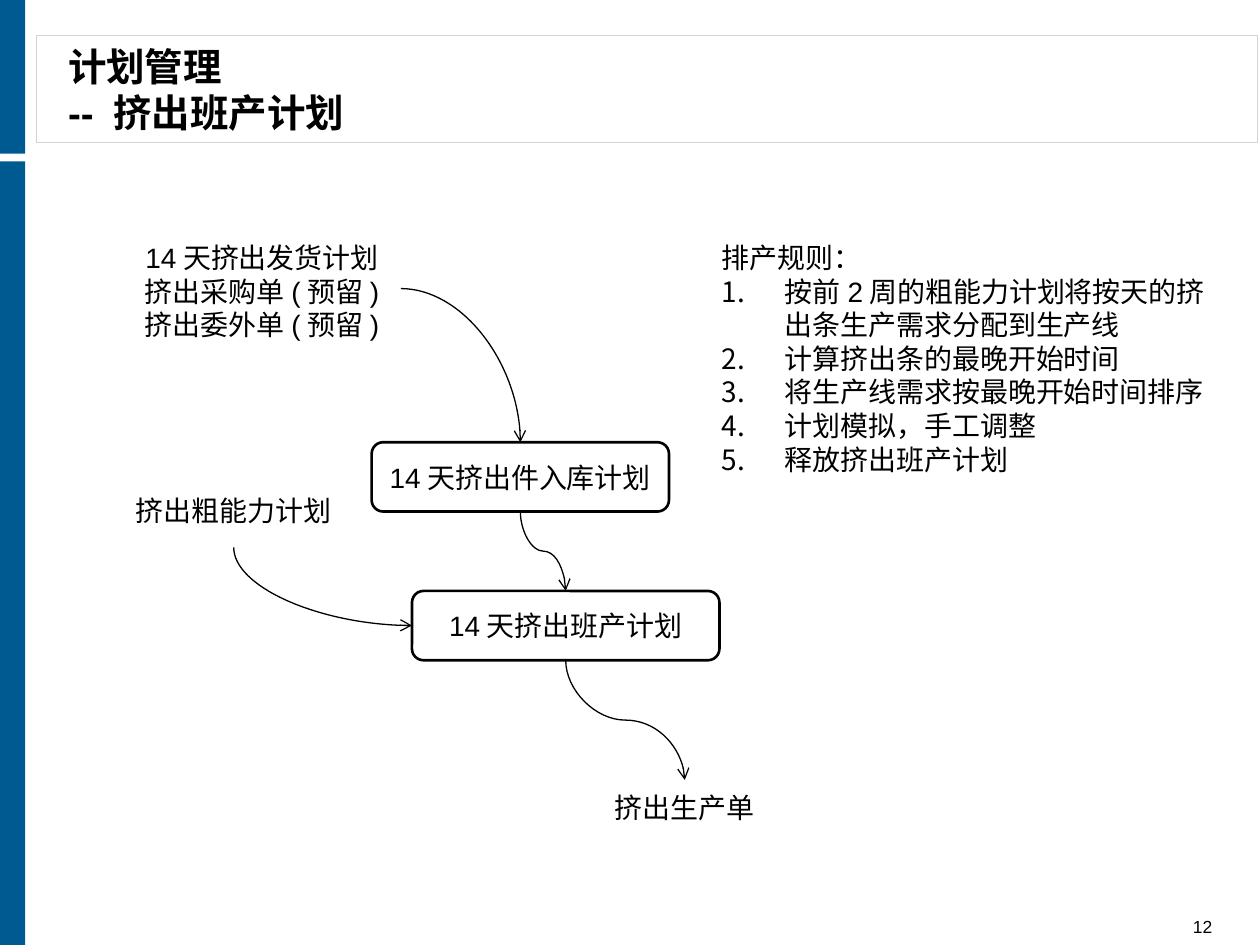
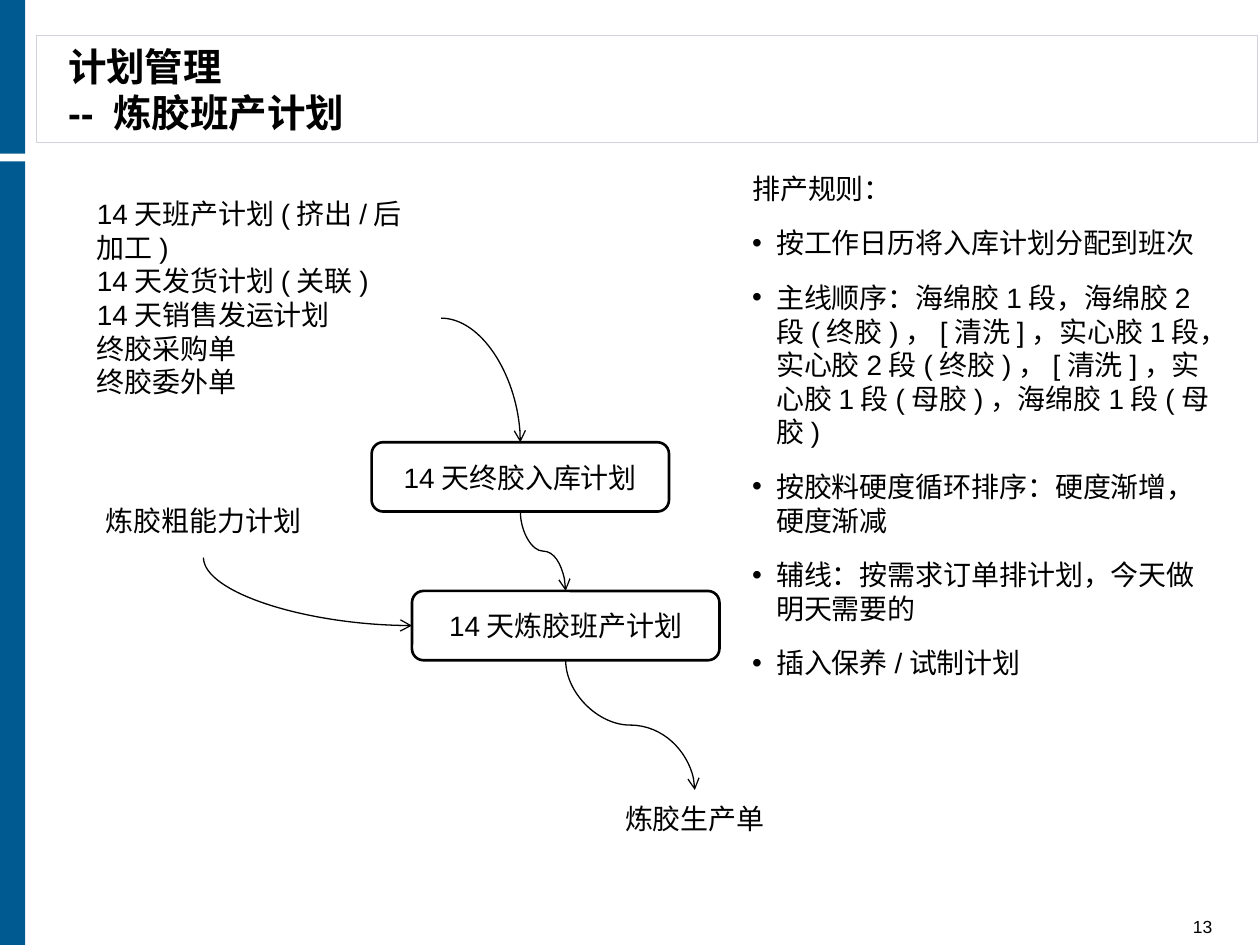
from dataclasses import dataclass

from lxml import etree
from pptx import Presentation
from pptx.dml.color import RGBColor
from pptx.enum.shapes import MSO_CONNECTOR, MSO_SHAPE
from pptx.enum.text import MSO_ANCHOR, MSO_AUTO_SIZE, PP_ALIGN
from pptx.oxml.ns import qn
from pptx.util import Inches, Pt

COLORS = {"band": "005A92", "frame": "D0D3DA", "paper": "FFFFFF", "ink": "000000"}
FONT = "Arial"
BODY_SIZE = 16
RECT = MSO_SHAPE.RECTANGLE
ROUNDED = MSO_SHAPE.ROUNDED_RECTANGLE
DOCUMENT = MSO_SHAPE.FLOWCHART_DOCUMENT
CURVE = MSO_CONNECTOR.CURVE
LEFT, CENTER, RIGHT = PP_ALIGN.LEFT, PP_ALIGN.CENTER, PP_ALIGN.RIGHT
MIDDLE, BOTTOM, TOP = MSO_ANCHOR.MIDDLE, MSO_ANCHOR.BOTTOM, MSO_ANCHOR.TOP
NO_FIT = MSO_AUTO_SIZE.NONE
DOCUMENT_EDGE = 0.934
TITLE_AND_CONTENT = 1


@dataclass(frozen=True)
class Frame:
    left: float
    top: float
    width: float
    height: float

    @property
    def middle_x(self) -> float:
        return self.left + self.width / 2

    @property
    def middle_y(self) -> float:
        return self.top + self.height / 2

    @property
    def right(self) -> float:
        return self.left + self.width

    @property
    def bottom(self) -> float:
        return self.top + self.height

    def lengths(self) -> tuple:
        return tuple(map(Inches, (self.left, self.top, self.width, self.height)))


@dataclass(frozen=True)
class Band:
    frame: Frame
    fill: str
    line: str | None = None


@dataclass(frozen=True)
class Node:
    frame: Frame
    lines: tuple[str, ...]
    align: int = CENTER
    top_inset: float = 0


@dataclass(frozen=True)
class Rules:
    frame: Frame
    items: tuple[str, ...]
    bullet: str
    attribute: tuple[str, str]
    indent: float
    gap: float


@dataclass(frozen=True)
class PlanSlide:
    number: int
    subject: str
    demand: Node
    capacity: Node
    stock_plan: str
    shift_plan: str
    order: Node
    rules: Rules


BANDS = (
    Band(Frame(0.29, 0.28, 9.69, 0.85), "paper", "frame"),
    Band(Frame(0, 1.28, 0.2, 6.22), "band"),
    Band(Frame(0, 0, 0.2, 1.22), "band"),
)
TITLE = Frame(0.44, 0.31, 6.3, 0.79)
PAGE_NUMBER = Frame(8.78, 7.26, 0.94, 0.18)
STOCK = Frame(2.95, 3.51, 2.36, 0.55)
SHIFT = Frame(3.27, 4.69, 2.44, 0.55)

PLANS = (
    PlanSlide(
        12,
        "挤出班产计划",
        Node(
            Frame(0.98, 1.7, 2.2, 1.18),
            ("14天挤出发货计划", "挤出采购单(预留)", "挤出委外单(预留)"),
            top_inset=0.27,
        ),
        Node(Frame(0.83, 3.83, 2.05, 0.55), ("挤出粗能力计划",)),
        "14天挤出件入库计划",
        "14天挤出班产计划",
        Node(Frame(4.37, 6.19, 2.13, 0.55), ("挤出生产单",)),
        Rules(
            Frame(5.63, 1.86, 4.09, 1.99),
            (
                "按前2周的粗能力计划将按天的挤出条生产需求分配到生产线",
                "计算挤出条的最晚开始时间",
                "将生产线需求按最晚开始时间排序",
                "计划模拟，手工调整",
                "释放挤出班产计划",
            ),
            "a:buAutoNum", ("type", "arabicPeriod"), 0.5, 0,
        ),
    ),
    PlanSlide(
        13,
        "炼胶班产计划",
        Node(
            Frame(0.67, 1.7, 2.83, 1.65),
            (
                "14天班产计划(挤出/后加工)",
                "14天发货计划(关联)",
                "14天销售发运计划",
                "终胶采购单",
                "终胶委外单",
            ),
            LEFT,
        ),
        Node(Frame(0.59, 3.91, 2.05, 0.55), ("炼胶粗能力计划",)),
        "14天终胶入库计划",
        "14天炼胶班产计划",
        Node(Frame(4.45, 6.27, 2.13, 0.55), ("炼胶生产单",)),
        Rules(
            Frame(5.87, 1.31, 3.86, 3.9),
            (
                "按工作日历将入库计划分配到班次",
                "主线顺序：海绵胶1段，海绵胶2段(终胶)，[清洗]，实心胶1段，"
                "实心胶2段(终胶)，[清洗]，实心胶1段(母胶)，海绵胶1段(母胶)",
                "按胶料硬度循环排序：硬度渐增，硬度渐减",
                "辅线：按需求订单排计划，今天做明天需要的",
                "插入保养/试制计划",
            ),
            "a:buChar", ("char", "•"), 0.19, 6,
        ),
    ),
)


def color(name: str) -> RGBColor:
    return RGBColor.from_string(COLORS[name])


def place(shape, frame: Frame) -> None:
    shape.left, shape.top, shape.width, shape.height = frame.lengths()


def add_span(para, text: str, size: float = BODY_SIZE, bold: bool = False) -> None:
    span = para.add_run()
    span.text = text
    span.font.name = FONT
    span.font.size = Pt(size)
    span.font.bold = bold
    span.font.color.rgb = color("ink")


def set_up_text(box, anchor, inset_x: float = 0.1, inset_y: float = 0):
    text = box.text_frame
    text.word_wrap = True
    text.auto_size = NO_FIT
    text.vertical_anchor = anchor
    text.margin_left = text.margin_right = Inches(inset_x)
    text.margin_top = text.margin_bottom = Inches(inset_y)
    return text


def paragraphs(text, count: int) -> list:
    return [text.paragraphs[0]] + [text.add_paragraph() for _ in range(count - 1)]


def add_panel(page, kind, frame: Frame, fill: str, line: str | None = None, weight: float = 0.75):
    panel = page.shapes.add_shape(kind, *frame.lengths())
    panel.shadow.inherit = False
    panel.fill.solid()
    panel.fill.fore_color.rgb = color(fill)
    if line:
        panel.line.color.rgb = color(line)
        panel.line.width = Pt(weight)
    else:
        panel.line.fill.background()
    return panel


def move_bands_to_master(deck, page) -> None:
    tree = deck.slide_master.shapes.element
    for index, band in enumerate(BANDS):
        panel = add_panel(page, RECT, band.frame, band.fill, band.line).element
        panel.xpath("./p:nvSpPr/p:cNvPr")[0].set("id", str(100 + index))
        tree.insert(2 + index, panel)


def add_node(page, kind, node: Node, line: str | None = None) -> None:
    box = add_panel(page, kind, node.frame, "paper", line, 1.5)
    text = set_up_text(box, MIDDLE)
    text.margin_top = Inches(node.top_inset)
    for para, line_text in zip(paragraphs(text, len(node.lines)), node.lines):
        para.alignment = node.align
        add_span(para, line_text)


def add_arrow(page, start: tuple, end: tuple, preset: str, starts_down: bool = True) -> None:
    (x1, y1), (x2, y2) = start, end
    width, height = x2 - x1, y2 - y1
    if starts_down:
        x1, y1 = x1 + (width - height) / 2, y1 + (height - width) / 2
        width, height = height, width
    arrow = page.shapes.add_connector(CURVE, *map(Inches, (x1, y1, x1 + width, y1 + height)))
    arrow.line.color.rgb = color("ink")
    arrow.line.width = Pt(0.75)
    properties = arrow.element.spPr
    properties.find(qn("a:prstGeom")).set("prst", preset)
    if starts_down:
        transform = properties.find(qn("a:xfrm"))
        transform.set("rot", str(270 * 60000))
        transform.set("flipH", "1")
    etree.SubElement(properties.find(qn("a:ln")), qn("a:tailEnd"), type="arrow")
    etree.SubElement(properties, qn("a:effectLst"))


def write_title(page, subject: str) -> None:
    title = page.shapes.title
    place(title, TITLE)
    para = set_up_text(title, MIDDLE).paragraphs[0]
    para.alignment = LEFT
    add_span(para, "计划管理", 22, True)
    para.add_line_break()
    add_span(para, f"-- {subject}", 22, True)


def write_rules(page, rules: Rules) -> None:
    body = page.placeholders[1]
    place(body, rules.frame)
    text = set_up_text(body, TOP, inset_y=0.05)
    lines = ("排产规则：", *rules.items)
    for index, (para, line) in enumerate(zip(paragraphs(text, len(lines)), lines)):
        para.alignment = LEFT
        para.space_before = para.space_after = Pt(rules.gap)
        indent = Inches(rules.indent) if index else 0
        properties = para._p.get_or_add_pPr()
        properties.set("marL", str(indent))
        properties.set("indent", str(-indent))
        bullet = etree.SubElement(properties, qn(rules.bullet if index else "a:buNone"))
        if index:
            bullet.set(*rules.attribute)
        add_span(para, line)


def write_page_number(page, number: int) -> None:
    box = page.shapes.add_textbox(*PAGE_NUMBER.lengths())
    para = set_up_text(box, BOTTOM).paragraphs[0]
    para.alignment = RIGHT
    add_span(para, str(number), 10)


def draw_flow(page, plan: PlanSlide) -> None:
    demand, capacity, order = plan.demand.frame, plan.capacity.frame, plan.order.frame
    capacity_edge = capacity.top + capacity.height * DOCUMENT_EDGE
    add_node(page, ROUNDED, Node(STOCK, (plan.stock_plan,)), "ink")
    add_node(page, ROUNDED, Node(SHIFT, (plan.shift_plan,)), "ink")
    add_arrow(page, (demand.right, demand.middle_y), (STOCK.middle_x, STOCK.top),
              "curvedConnector2", starts_down=False)
    add_arrow(page, (STOCK.middle_x, STOCK.bottom), (SHIFT.middle_x, SHIFT.top), "curvedConnector3")
    add_arrow(page, (SHIFT.middle_x, SHIFT.bottom), (order.middle_x, order.top), "curvedConnector3")
    add_arrow(page, (capacity.middle_x, capacity_edge), (SHIFT.left, SHIFT.middle_y),
              "curvedConnector2")
    for node in (plan.demand, plan.capacity, plan.order):
        add_node(page, DOCUMENT, node)


def main() -> None:
    deck = Presentation()
    deck.slide_width, deck.slide_height = Inches(10), Inches(7.5)
    for plan in PLANS:
        page = deck.slides.add_slide(deck.slide_layouts[TITLE_AND_CONTENT])
        if plan is PLANS[0]:
            move_bands_to_master(deck, page)
        write_title(page, plan.subject)
        write_rules(page, plan.rules)
        draw_flow(page, plan)
        write_page_number(page, plan.number)
    deck.save("out.pptx")


if __name__ == "__main__":
    main()
